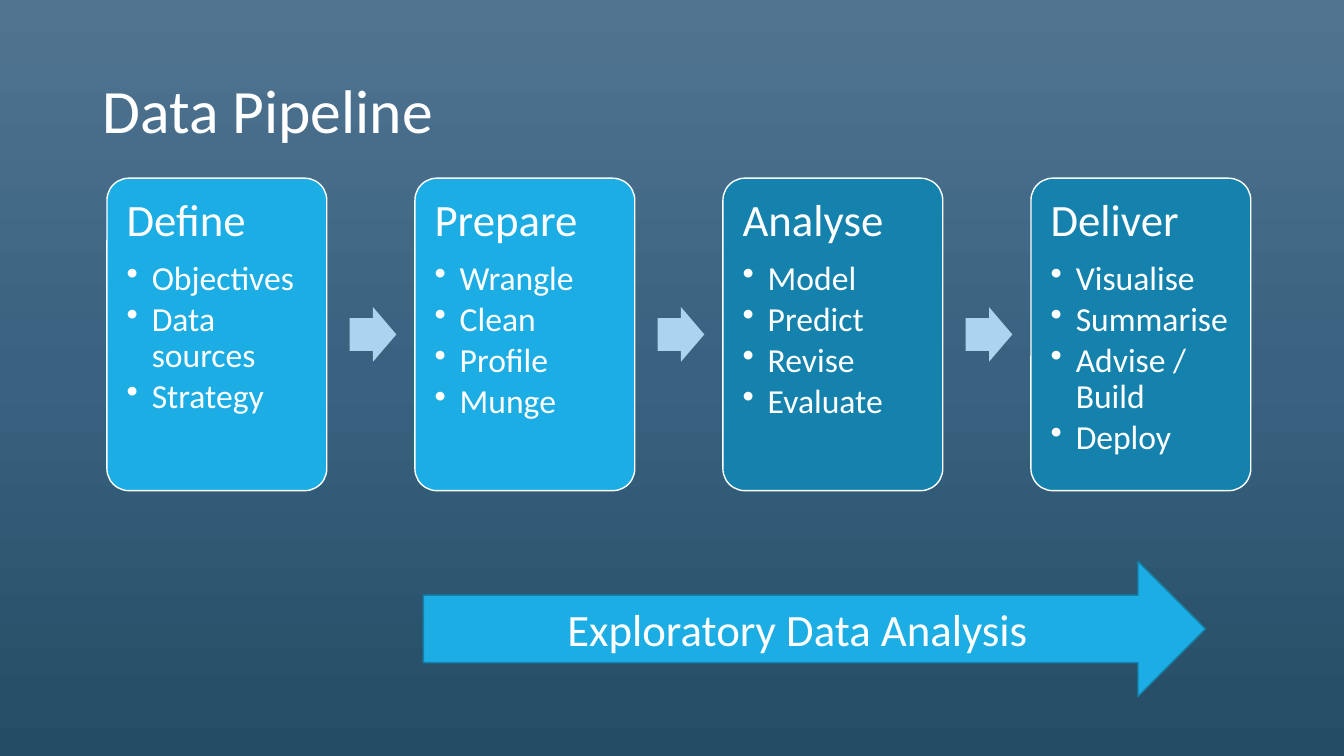
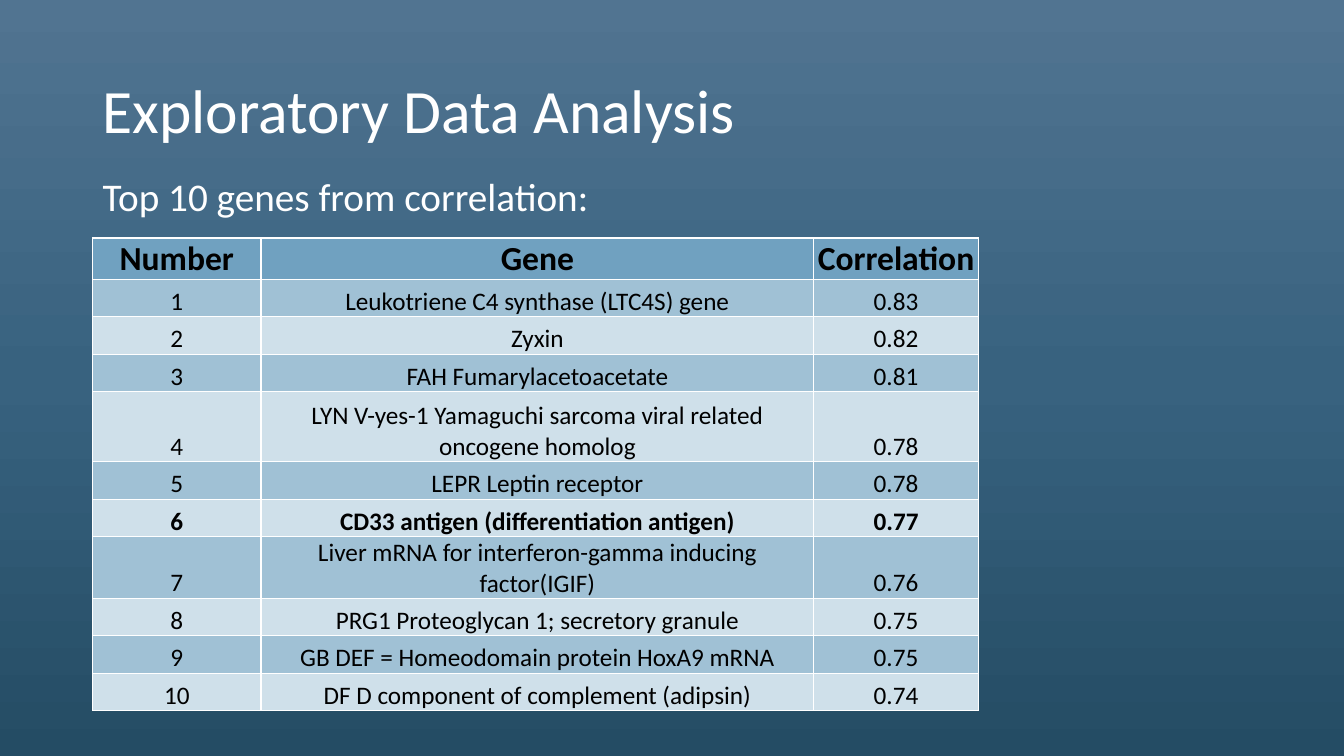
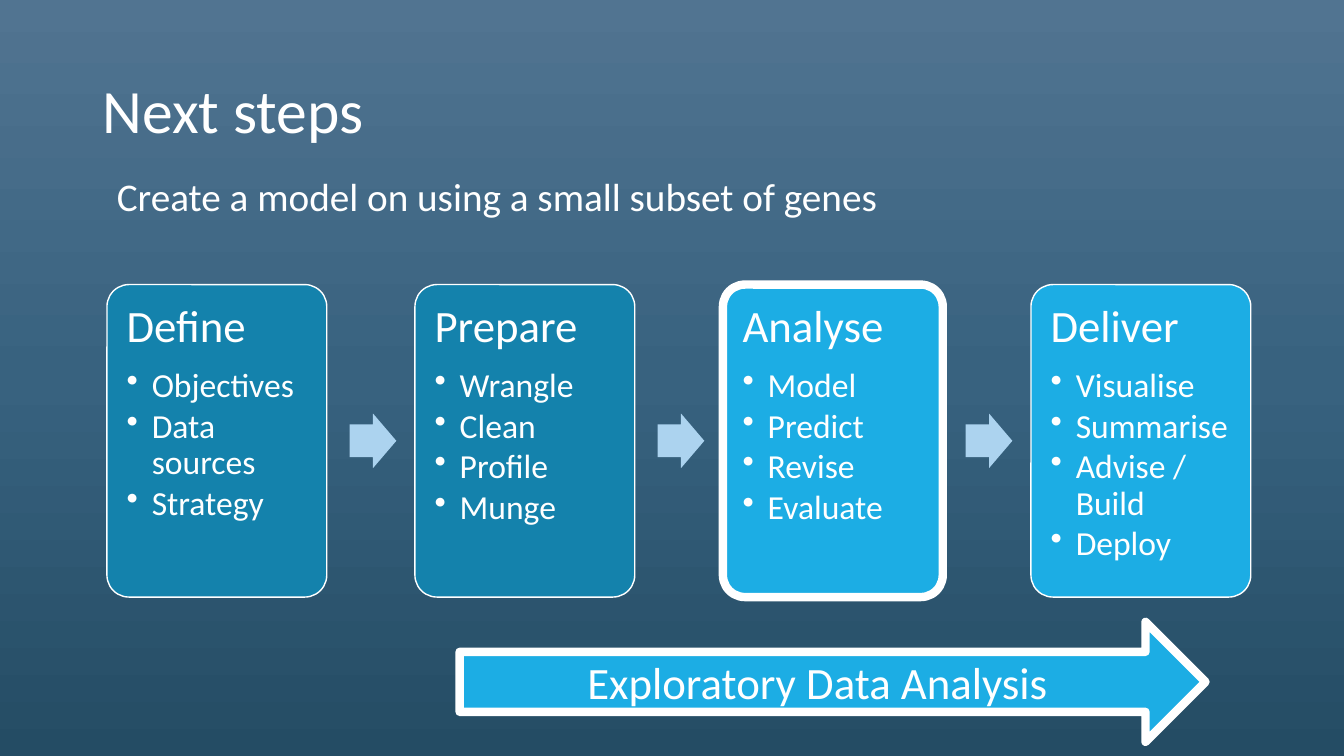
"""Build three slides on a data pipeline and its exploratory analysis."""
from copy import deepcopy

from lxml import etree
from pptx import Presentation
from pptx.dml.color import RGBColor
from pptx.enum import shapes, text
from pptx.oxml import ns
from pptx.util import Pt

WHITE = RGBColor(0xFF, 0xFF, 0xFF)
BLACK = RGBColor(0x00, 0x00, 0x00)
BRIGHT = RGBColor(0x1C, 0xAD, 0xE4)
DEEP = RGBColor(0x14, 0x82, 0xAC)
EDGE = RGBColor(0x15, 0x80, 0xA9)
PALE = RGBColor(0xAC, 0xD3, 0xEF)
HEADER = RGBColor(0x70, 0xA1, 0xC0)
BANDS = (RGBColor(0xA0, 0xC1, 0xD5), RGBColor(0xCF, 0xE0, 0xEA))
BACKDROP = (
    (0, RGBColor(0x51, 0x74, 0x91)),
    (0.5, RGBColor(0x38, 0x62, 0x7F)),
    (1, RGBColor(0x24, 0x4C, 0x64)),
)
FONT = "Calibri"
LEFT = 66.2
CARD_LEFT, CARD_W, CARD_H, CARD_STEP = 76.4, 157, 223.2, 220
STEP_W, STEP_H, STEP_GAP = 33.3, 39, 16.4

STAGES = (
    ("Define", ("Objectives", "Data sources", "Strategy")),
    ("Prepare", ("Wrangle", "Clean", "Profile", "Munge")),
    ("Analyse", ("Model", "Predict", "Revise", "Evaluate")),
    ("Deliver", ("Visualise", "Summarise", "Advise / Build", "Deploy")),
)
COLUMNS = (("Number", 120.2), ("Gene", 395), ("Correlation", 117.4))
GENES = (
    ("Leukotriene C4 synthase (LTC4S) gene", "0.83"),
    ("Zyxin", "0.82"),
    ("FAH Fumarylacetoacetate", "0.81"),
    ("LYN V-yes-1 Yamaguchi sarcoma viral related oncogene homolog", "0.78"),
    ("LEPR Leptin receptor", "0.78"),
    ("CD33 antigen (differentiation antigen)", "0.77"),
    ("Liver mRNA for interferon-gamma inducing factor(IGIF)", "0.76"),
    ("PRG1 Proteoglycan 1; secretory granule", "0.75"),
    ("GB DEF = Homeodomain protein HoxA9 mRNA", "0.75"),
    ("DF D component of complement (adipsin)", "0.74"),
)
ROW_H, TALL_ROW_H = 26.8, 50
TALL_ROW, BOLD_ROW = 4, 6


def add_text(tf, content, size, color=WHITE, bold=False, align=text.PP_ALIGN.LEFT,
             spacing=None, after=0, bullet=False):
    p = tf.paragraphs[0] if not tf.text else tf.add_paragraph()
    p.alignment = align
    p.space_after = Pt(after)
    if spacing:
        p.line_spacing = spacing
    if bullet:
        p.level = 1
        pPr = p._p.get_or_add_pPr()
        pPr.set("marL", str(Pt(18)))
        pPr.set("indent", str(-Pt(18)))
        etree.SubElement(pPr, ns.qn("a:buChar")).set("char", "•")
    r = p.add_run()
    r.text = content
    r.font.name, r.font.size, r.font.bold = FONT, Pt(size), bold
    r.font.color.rgb = color


def add_box(s, x, y, w, h, content, size, spacing, anchor=text.MSO_ANCHOR.TOP):
    tf = s.shapes.add_textbox(Pt(x), Pt(y), Pt(w), Pt(h)).text_frame
    tf.word_wrap = True
    tf.vertical_anchor = anchor
    add_text(tf, content, size, spacing=spacing)


def add_block(s, kind, x, y, w, h, fill, line=None, line_w=1):
    sp = s.shapes.add_shape(kind, Pt(x), Pt(y), Pt(w), Pt(h))
    sp.shadow.inherit = False
    sp.fill.solid()
    sp.fill.fore_color.rgb = fill
    if line is None:
        sp.line.fill.background()
    else:
        sp.line.color.rgb = line
        sp.line.width = Pt(line_w)
    return sp


def add_card(s, x, y, heading, items, fill, line_w):
    sp = add_block(s, shapes.MSO_SHAPE.ROUNDED_RECTANGLE, x, y, CARD_W, CARD_H,
                   fill, WHITE, line_w)
    sp.adjustments[0] = 0.1
    tf = sp.text_frame
    tf.word_wrap = True
    tf.vertical_anchor = text.MSO_ANCHOR.TOP
    tf.margin_left = tf.margin_right = tf.margin_top = tf.margin_bottom = Pt(9.4)
    add_text(tf, heading, 32, spacing=0.9, after=11.2)
    for item in items:
        add_text(tf, item, 24, spacing=0.9, after=3.2, bullet=True)


def add_pipeline(s, y, fills, highlight=None):
    for i, ((heading, items), fill) in enumerate(zip(STAGES, fills)):
        x = CARD_LEFT + i * CARD_STEP
        add_card(s, x, y, heading, items, fill, 6 if heading == highlight else 1)
        if i < len(STAGES) - 1:
            sp = add_block(s, shapes.MSO_SHAPE.RIGHT_ARROW, x + CARD_W + STEP_GAP,
                           y + (CARD_H - STEP_H) / 2, STEP_W, STEP_H, PALE)
            sp.adjustments[0] = 0.6


def add_banner(s, x, y, w, h, line, line_w):
    sp = add_block(s, shapes.MSO_SHAPE.RIGHT_ARROW, x, y, w, h, BRIGHT, line, line_w)
    sp.text_frame.vertical_anchor = text.MSO_ANCHOR.MIDDLE
    add_text(sp.text_frame, "Exploratory Data Analysis", 32, align=text.PP_ALIGN.CENTER)


def set_borders(cell):
    tcPr = cell._tc.get_or_add_tcPr()
    for i, side in enumerate(("lnL", "lnR", "lnT", "lnB")):
        ln = etree.Element(ns.qn(f"a:{side}"), w=str(Pt(1)))
        fill = etree.SubElement(ln, ns.qn("a:solidFill"))
        etree.SubElement(fill, ns.qn("a:srgbClr"), val=str(WHITE))
        tcPr.insert(i, ln)


def fill_cell(cell, content, fill, size, bold):
    cell.fill.solid()
    cell.fill.fore_color.rgb = fill
    cell.vertical_anchor = text.MSO_ANCHOR.BOTTOM
    cell.margin_left = cell.margin_right = cell.margin_top = Pt(0.7)
    cell.margin_bottom = Pt(0)
    add_text(cell.text_frame, content, size, BLACK, bold, text.PP_ALIGN.CENTER)
    set_borders(cell)


def add_gene_table(s, x, y):
    rows = [[name for name, _ in COLUMNS]]
    rows += [(str(n), *gene) for n, gene in enumerate(GENES, 1)]
    width = sum(w for _, w in COLUMNS)
    height = ROW_H * (len(rows) - 1) + TALL_ROW_H
    table = s.shapes.add_table(len(rows), len(COLUMNS), Pt(x), Pt(y),
                               Pt(width), Pt(height)).table
    table.horz_banding = False
    for column, (_, w) in zip(table.columns, COLUMNS):
        column.width = Pt(w)
    for i, row in enumerate(rows):
        table.rows[i].height = Pt(TALL_ROW_H if i == TALL_ROW else ROW_H)
        fill = BANDS[(i - 1) % 2] if i else HEADER
        for j, content in enumerate(row):
            fill_cell(table.cell(i, j), content, fill, 18 if i else 24,
                      i in (0, BOLD_ROW))


def set_backdrop(prs):
    fill = prs.slide_master.background.fill
    fill.gradient()
    fill.gradient_angle = 270
    stops = prs.slide_master.element.find(".//" + ns.qn("a:gsLst"))
    stops.insert(1, deepcopy(stops[0]))
    for stop, (position, color) in zip(fill.gradient_stops, BACKDROP):
        stop.position = position
        stop.color.rgb = color


def add_slide(prs, title):
    s = prs.slides.add_slide(prs.slide_layouts[6])
    add_box(s, LEFT, 28.8, 828, 104.4, title, 44, 0.9, text.MSO_ANCHOR.MIDDLE)
    return s


def main():
    prs = Presentation()
    prs.slide_width, prs.slide_height = Pt(960), Pt(540)
    set_backdrop(prs)

    s = add_slide(prs, "Data Pipeline")
    add_pipeline(s, 127.3, (BRIGHT, BRIGHT, DEEP, DEEP))
    add_banner(s, 302.4, 401, 558.7, 96.5, EDGE, 1)

    s = add_slide(prs, "Exploratory Data Analysis")
    add_box(s, LEFT, 126, 828, 35.3, "Top 10 genes from correlation:", 28, 0.8)
    add_gene_table(s, LEFT, 170)

    s = add_slide(prs, "Next steps")
    add_pipeline(s, 203.3, (DEEP, DEEP, BRIGHT, BRIGHT), highlight="Analyse")
    add_banner(s, 328.3, 444.2, 532.8, 85.7, WHITE, 6)
    add_box(s, CARD_LEFT, 123.1, 559.4, 42.5,
            "Create a model on using a small subset of genes", 28, 0.9)

    prs.save("out.pptx")


if __name__ == "__main__":
    main()
